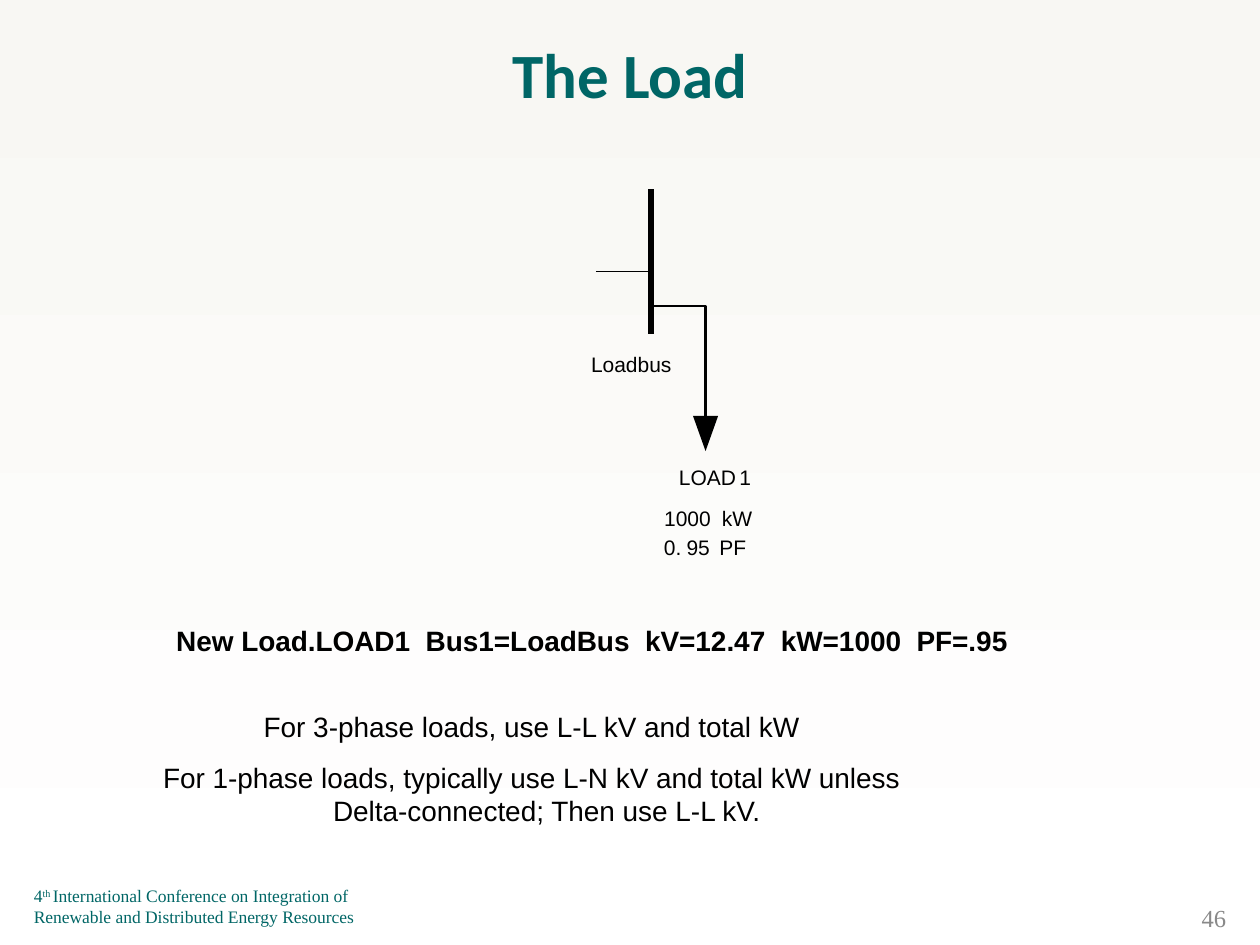
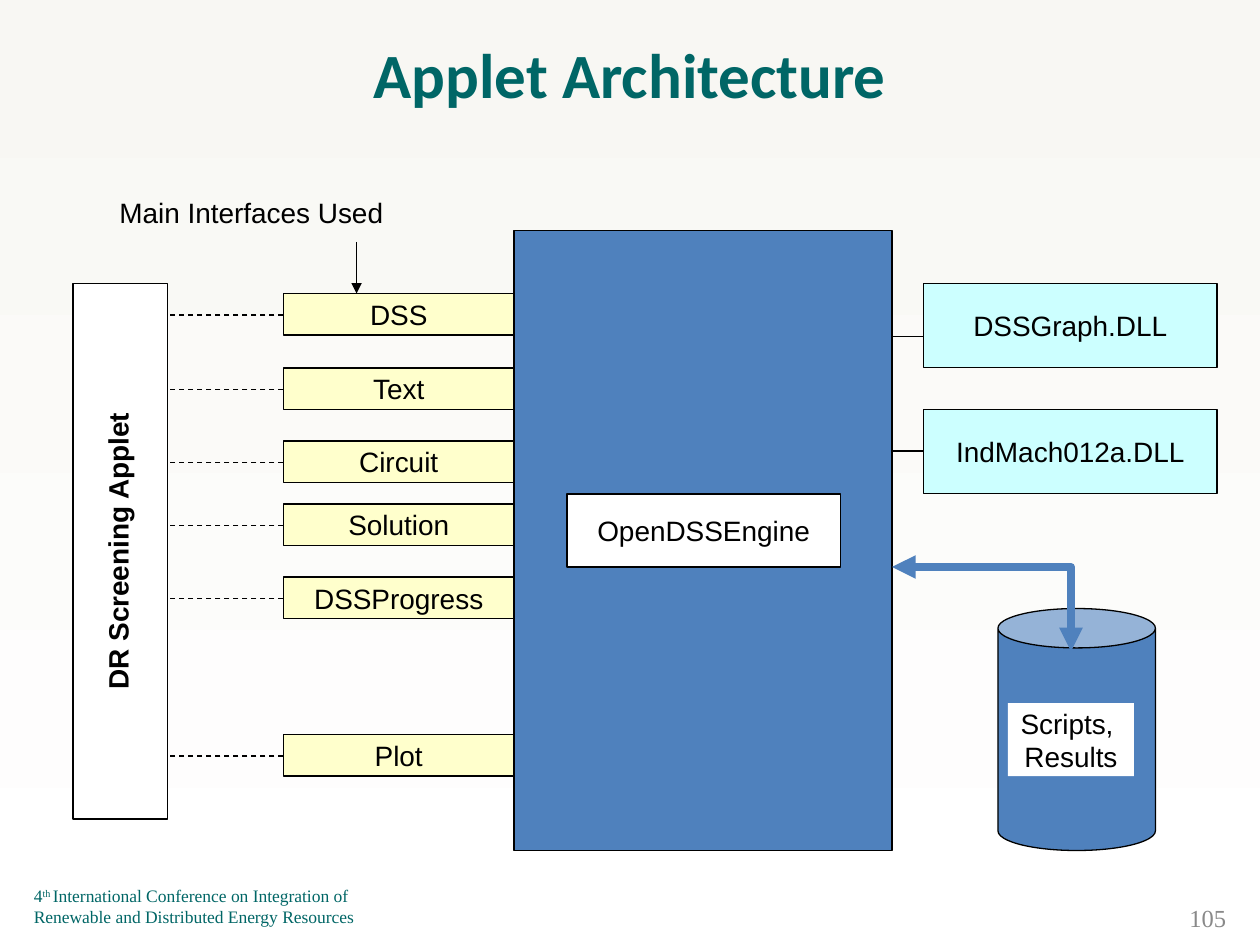
"""Build two slides: the load element and the applet architecture."""
from lxml.etree import SubElement
from pptx import Presentation
from pptx.dml.color import RGBColor
from pptx.enum.dml import MSO_LINE
from pptx.enum.shapes import MSO_CONNECTOR, MSO_SHAPE
from pptx.enum.text import MSO_ANCHOR, PP_ALIGN
from pptx.oxml.ns import qn
from pptx.util import Inches, Pt

TEAL, BLUE, BLACK, WHITE = "006666", "4F81BD", "000000", "FFFFFF"
YELLOW, CYAN, GRAY = "FFFFCC", "CCFFFF", "898989"
color = RGBColor.from_string


def add_box(slide, text, left, top, width, height, fill=None, line=None, kind=MSO_SHAPE.RECTANGLE,
            font="Arial", size=16, ink=BLACK, bold=False, align=PP_ALIGN.CENTER,
            anchor=MSO_ANCHOR.MIDDLE, wrap=False, margin=None):
    position = [Inches(value) for value in (left, top, width, height)]
    if fill:
        shape = slide.shapes.add_shape(kind, *position)
        shape.shadow.inherit = False
        shape.fill.solid()
        shape.fill.fore_color.rgb = color(fill)
        if line:
            shape.line.color.rgb = color(line)
            shape.line.width = Pt(0.75)
        else:
            shape.line.fill.background()
    else:
        shape = slide.shapes.add_textbox(*position)
    frame = shape.text_frame
    frame.text = text
    frame.word_wrap = wrap
    frame.vertical_anchor = anchor
    if margin is not None:
        frame.margin_left = frame.margin_right = Inches(margin)
        frame.margin_top = frame.margin_bottom = Inches(margin)
    for paragraph in frame.paragraphs:
        paragraph.alignment = align
        for run in paragraph.runs:
            run.font.name = font
            run.font.size = Pt(size)
            run.font.bold = bold
            run.font.color.rgb = color(ink)
    return shape


def add_line(slide, points, width=0.75, ink=BLACK, dash=None, arrows=(), filled=False):
    points = [(Inches(x), Inches(y)) for x, y in points]
    if len(points) == 2:
        line_shape = slide.shapes.add_connector(MSO_CONNECTOR.STRAIGHT, *points[0], *points[1])
    else:
        builder = slide.shapes.build_freeform(*points[0])
        builder.add_line_segments(points[1:], close=filled)
        line_shape = builder.convert_to_shape()
        line_shape.fill.background()
    if filled:
        line_shape.fill.solid()
        line_shape.fill.fore_color.rgb = color(ink)
        line_shape.line.fill.background()
    else:
        line_shape.line.color.rgb = color(ink)
        line_shape.line.width = Pt(width)
    if dash:
        line_shape.line.dash_style = dash
    properties = line_shape._element.spPr
    for arrow in arrows:
        SubElement(properties.find(qn("a:ln")), qn(arrow), type="triangle")
    SubElement(properties, qn("a:effectLst"))


presentation = Presentation()
presentation.slide_width = Inches(10)
presentation.slide_height = Inches(7.5)

background = presentation.slide_master.background.fill
background.gradient()
background.gradient_angle = 270
for stop, shade in zip(background.gradient_stops, ("F8F7F3", WHITE)):
    stop.color.rgb = color(shade)

slides = []
for title, number in (("The Load", "46"), ("Applet Architecture", "105")):
    slide = presentation.slides.add_slide(presentation.slide_layouts[6])
    slides.append(slide)
    footer = add_box(slide, "4\nRenewable and Distributed Energy Resources", 0.17, 7, 3.17, 0.41,
                     font="Times New Roman", size=10, ink=TEAL, align=PP_ALIGN.LEFT,
                     anchor=MSO_ANCHOR.BOTTOM, wrap=True)
    for text, baseline in (("th ", "30000"), ("International Conference on Integration of", "0")):
        run = footer.text_frame.paragraphs[0].add_run()
        run.text = text
        run.font.name = "Times New Roman"
        run.font.size = Pt(10)
        run.font.color.rgb = color(TEAL)
        run.font._element.set("baseline", baseline)
    add_box(slide, title, 0.33, 0.17, 9.34, 0.83, font="Calibri", size=36, ink=TEAL, bold=True,
            wrap=True)
    add_box(slide, number, 8.83, 7.15, 1, 0.27, font="Times New Roman", size=14, ink=GRAY,
            align=PP_ALIGN.RIGHT, wrap=True)
load_slide, applet_slide = slides

add_line(load_slide, [(5.17, 1.5), (5.17, 2.65)], width=3.37)
add_line(load_slide, [(5.17, 2.43), (5.6, 2.43), (5.6, 3.32)], width=1.25)
add_line(load_slide, [(5.7, 3.3), (5.6, 3.58), (5.5, 3.3)], filled=True)
add_line(load_slide, [(4.73, 2.15), (5.17, 2.15)], width=0.25)

diagram_labels = [
    ("Loadbus", 4.45, 2.79, 1.12), ("LOAD", 5.15, 3.69, 0.93), ("1", 5.63, 3.69, 0.57),
    ("1000 ", 5.03, 4.01, 0.9), ("kW", 5.49, 4.01, 0.72), ("0", 5.03, 4.24, 0.57),
    (".", 5.12, 4.24, 0.53), ("95 ", 5.21, 4.24, 0.71), ("PF", 5.47, 4.24, 0.69),
]
for text, left, top, width in diagram_labels:
    add_box(load_slide, text, left, top, width, 0.2, size=12, anchor=MSO_ANCHOR.TOP, margin=0)

add_box(load_slide, "New Load.LOAD1  Bus1=LoadBus  kV=12.47  kW=1000  PF=.95",
        1.06, 4.9, 7.28, 0.37, bold=True, anchor=MSO_ANCHOR.TOP)
advice = add_box(load_slide, "For 3-phase loads, use L-L kV and total kW\n"
                 "For 1-phase loads, typically use L-N kV and total kW unless "
                 "Delta-connected; Then use L-L kV.",
                 1.04, 5.58, 6.36, 1.04, anchor=MSO_ANCHOR.TOP, wrap=True)
one_phase = advice.text_frame.paragraphs[1]
one_phase.space_before = Pt(10)
one_phase._p.get_or_add_pPr().set("marL", str(Inches(0.24)))
one_phase._p.get_or_add_pPr().set("indent", str(Inches(-0.24)))

add_box(applet_slide, "", 0.58, 2.25, 0.75, 4.25, WHITE, BLACK)
interfaces = [("DSS", 2.33), ("Text", 2.92), ("Circuit", 3.5), ("Solution", 4),
              ("DSSProgress", 4.58), ("Plot", 5.83)]
for name, top in interfaces:
    add_box(applet_slide, name, 2.25, top, 1.83, 0.33, YELLOW, BLACK)
    add_line(applet_slide, [(2.25, top + 0.17), (1.33, top + 0.17)], dash=MSO_LINE.DASH)

add_box(applet_slide, "", 4.08, 1.83, 3, 4.92, BLUE, BLACK)
add_box(applet_slide, "OpenDSSEngine", 4.5, 3.92, 2.17, 0.58, WHITE, BLACK)
for name, top, link in (("DSSGraph.DLL", 2.25, 2.67), ("IndMach012a.DLL", 3.25, 3.58)):
    add_box(applet_slide, name, 7.33, top, 2.33, 0.67, CYAN, BLACK)
    add_line(applet_slide, [(7.08, link), (7.33, link)])

applet_label = add_box(applet_slide, "DR Screening Applet", -1.19, 4.19, 4.25, 0.37, bold=True,
                       anchor=MSO_ANCHOR.TOP, wrap=True)
applet_label.rotation = 270

add_box(applet_slide, "", 7.92, 4.83, 1.25, 1.92, BLUE, BLACK, kind=MSO_SHAPE.CAN)
add_box(applet_slide, "Scripts, \vResults", 8, 5.58, 1, 0.58, WHITE)
add_line(applet_slide, [(7.08, 4.5), (8.5, 4.5), (8.5, 5.17)], width=4.5, ink=BLUE,
         arrows=("a:headEnd", "a:tailEnd"))

add_box(applet_slide, "Main Interfaces Used", 0.33, 1.5, 3.33, 0.37, anchor=MSO_ANCHOR.TOP,
        wrap=True)
add_line(applet_slide, [(2.83, 1.92), (2.83, 2.33)], arrows=("a:tailEnd",))

presentation.save("out.pptx")
